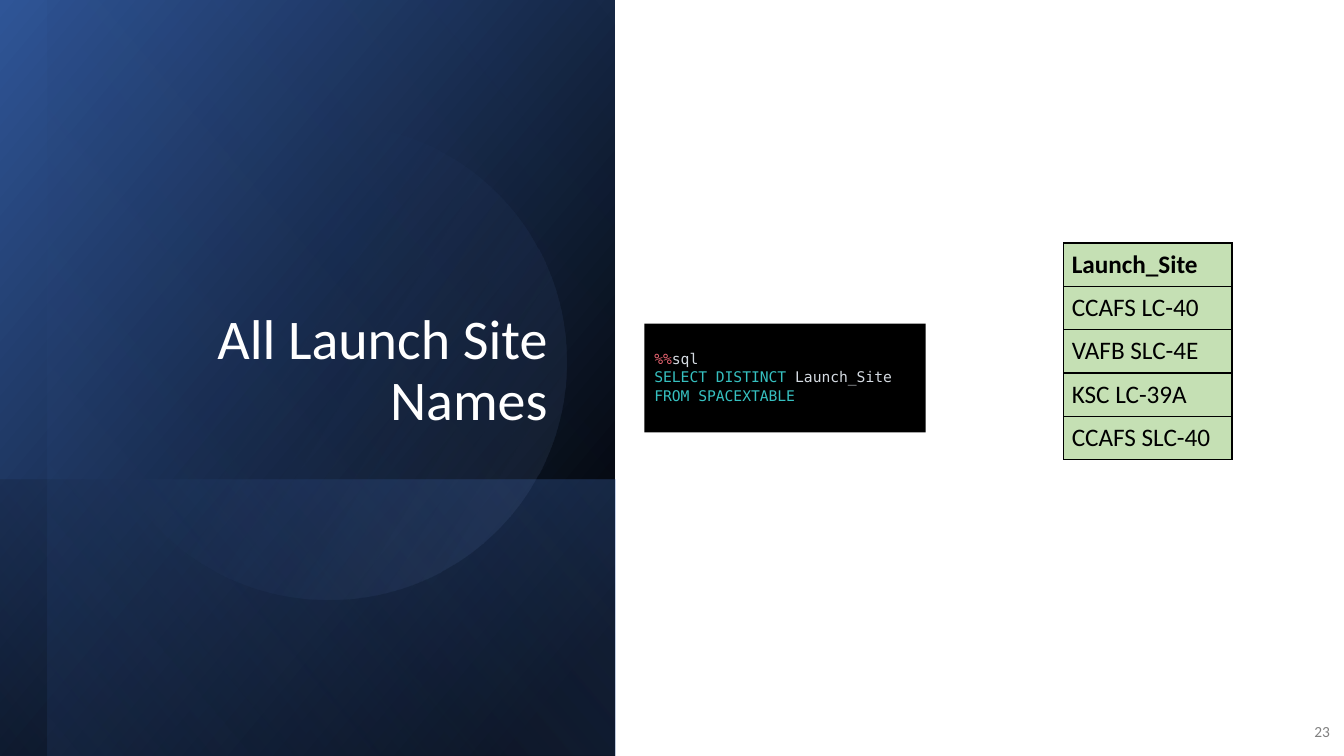
import lxml.etree
import pptx
import pptx.dml.color
import pptx.enum.shapes
import pptx.enum.text
import pptx.oxml
import pptx.oxml.ns
import pptx.util

Inches = pptx.util.Inches
Pt = pptx.util.Pt
SHAPES = pptx.enum.shapes.MSO_SHAPE
ALIGN = pptx.enum.text.PP_ALIGN
ANCHOR = pptx.enum.text.MSO_ANCHOR
SANS = "Calibri"
MONO = "DejaVu Sans Mono"
SITES = ["Launch_Site", "CCAFS LC-40", "VAFB SLC-4E", "KSC LC-39A", "CCAFS SLC-40"]
QUERY = [
    [("%%", "EB6572"), ("sql", "D4DAE1")],
    [("SELECT DISTINCT ", "36C0C0"), ("Launch_Site", "D4DAE1")],
    [("FROM SPACEXTABLE", "36C0C0")],
]


def color(value):
    """Turn a hex string into a colour."""
    return pptx.dml.color.RGBColor.from_string(value)


def add_run(paragraph, text, size, font, value, bold=False):
    """Add one formatted run to a paragraph."""
    run = paragraph.add_run()
    run.text = text
    run.font.size = Pt(size)
    run.font.name = font
    run.font.bold = bold
    run.font.color.rgb = color(value)


def place(shape, box):
    """Move a shape to a box given in inches."""
    shape.left, shape.top, shape.width, shape.height = map(Inches, box)


def set_gradient(shape, stops, angle):
    """Fill a shape with a linear gradient of (position, colour, opacity) stops."""
    namespace = pptx.oxml.ns.nsdecls("a")
    marks = "".join(
        f'<a:gs pos="{position * 1000}"><a:srgbClr val="{value}">'
        f'<a:alpha val="{opacity * 1000}"/></a:srgbClr></a:gs>'
        for position, value, opacity in stops
    )
    gradient = pptx.oxml.parse_xml(
        f'<a:gradFill {namespace} rotWithShape="1"><a:gsLst>{marks}</a:gsLst>'
        f'<a:lin ang="{angle * 60000}" scaled="0"/></a:gradFill>'
    )
    shape.fill.background()
    old_fill = shape.element.spPr.find(pptx.oxml.ns.qn("a:noFill"))
    shape.element.spPr.replace(old_fill, gradient)


def add_layer(slide, kind, box, rotation, stops, angle):
    """Add a borderless gradient shape that is rotated about its centre."""
    shape = slide.shapes.add_shape(kind, *map(Inches, box))
    shape.rotation = rotation
    shape.shadow.inherit = False
    shape.line.fill.background()
    set_gradient(shape, stops, angle)
    return shape


def add_turned_panel(slide, box, stops, angle):
    """Add a mirrored rectangle, turned a quarter, that covers the visible box."""
    left, top, width, height = box
    shift = (width - height) / 2
    turned_box = left + shift, top - shift, height, width
    shape = add_layer(slide, SHAPES.RECTANGLE, turned_box, 90, stops, angle)
    shape.element.spPr.xfrm.set("flipH", "1")


def add_title_panel(slide, box):
    """Build the layered blue panel with the title on it."""
    left, top, width, height = box
    add_turned_panel(slide, box, [(8, "000000", 100), (100, "2F5597", 100)], 50)
    add_turned_panel(slide, (left, top + 4.76, width, height - 4.76),
                     [(2, "4472C4", 29), (100, "000000", 30)], 130)
    add_turned_panel(slide, (left + 0.47, top, width - 0.47, height),
                     [(0, "000000", 0), (99, "4472C4", 11)], 130)
    add_layer(slide, SHAPES.OVAL, (left + 0.9, top + 1.23, 4.72, 4.72), 101.6,
              [(39, "4472C4", 0), (100, "8FAADC", 15)], 290)
    title = slide.shapes.title
    slide.shapes.element.append(title.element)
    place(title, (left + 0.9, top + 0.64, 4.63, 3.7))
    title.text_frame.word_wrap = True
    title.text_frame.vertical_anchor = ANCHOR.BOTTOM
    paragraph = title.text_frame.paragraphs[0]
    paragraph.alignment = ALIGN.RIGHT
    paragraph.line_spacing = 0.9
    add_run(paragraph, "All Launch Site Names", 40, SANS, "FFFFFF")


def add_query(slide, box):
    """Show the query as coloured code on black."""
    body = slide.placeholders[1]
    slide.shapes.element.append(body.element)
    place(body, box)
    body.fill.solid()
    body.fill.fore_color.rgb = color("000000")
    frame = body.text_frame
    frame.word_wrap = True
    frame.vertical_anchor = ANCHOR.MIDDLE
    for index, line in enumerate(QUERY):
        paragraph = frame.add_paragraph() if index else frame.paragraphs[0]
        properties = paragraph._p.get_or_add_pPr()
        properties.set("marL", "0")
        properties.set("indent", "0")
        lxml.etree.SubElement(properties, pptx.oxml.ns.qn("a:buNone"))
        paragraph.alignment = ALIGN.LEFT
        paragraph.line_spacing = 0.9
        paragraph.space_before = Pt(1.9 if index else 0)
        for text, value in line:
            add_run(paragraph, text, 10.5, MONO, value)


def set_borders(cell):
    """Draw a thin black line on each side of a cell."""
    namespace = pptx.oxml.ns.nsdecls("a")
    properties = cell._tc.get_or_add_tcPr()
    for index, side in enumerate(["lnL", "lnR", "lnT", "lnB"]):
        properties.insert(index, pptx.oxml.parse_xml(
            f'<a:{side} {namespace} w="{Pt(1)}"><a:solidFill>'
            f'<a:srgbClr val="000000"/></a:solidFill></a:{side}>'
        ))


def add_site_table(slide, box):
    """List the launch sites in a one-column table."""
    table = slide.shapes.add_table(len(SITES), 1, *map(Inches, box)).table
    for index, site in enumerate(SITES):
        cell = table.cell(index, 0)
        cell.fill.solid()
        cell.fill.fore_color.rgb = color("C5E0B4")
        cell.vertical_anchor = ANCHOR.MIDDLE
        cell.margin_left = cell.margin_right = Inches(0.08)
        cell.margin_top = cell.margin_bottom = Inches(0.04)
        set_borders(cell)
        add_run(cell.text_frame.paragraphs[0], site, 18, SANS, "000000", index == 0)


def add_slide_number(slide, box):
    """Add the page number."""
    frame = slide.shapes.add_textbox(*map(Inches, box)).text_frame
    frame.word_wrap = True
    frame.vertical_anchor = ANCHOR.MIDDLE
    paragraph = frame.paragraphs[0]
    paragraph.alignment = ALIGN.RIGHT
    add_run(paragraph, "23", 11, SANS, "808080")


def main():
    """Build and save the slide."""
    presentation = pptx.Presentation()
    presentation.slide_width = Inches(13.33)
    presentation.slide_height = Inches(7.5)
    slide = presentation.slides.add_slide(presentation.slide_layouts[1])
    add_title_panel(slide, (0, 0, 6.1, 7.5))
    add_query(slide, (6.39, 3.21, 2.79, 1.08))
    add_slide_number(slide, (12.8, 7.06, 0.49, 0.4))
    add_site_table(slide, (10.55, 2.41, 1.67, 2.15))
    presentation.save("out.pptx")


if __name__ == "__main__":
    main()
